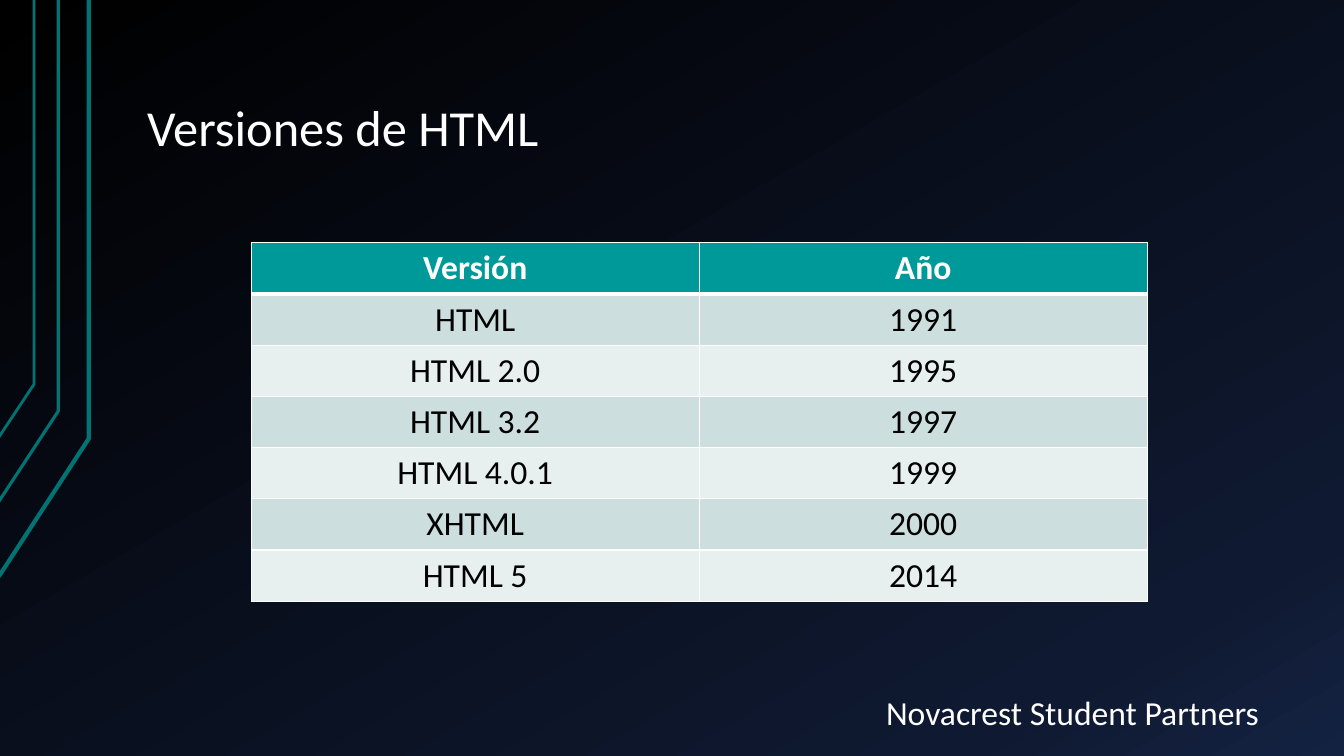
from copy import deepcopy

from lxml import etree
from pptx import Presentation
from pptx.dml.color import RGBColor
from pptx.enum.text import MSO_ANCHOR, PP_ALIGN
from pptx.oxml.ns import qn
from pptx.util import Cm, Pt

CENTER = PP_ALIGN.CENTER
MIDDLE, BOTTOM, TOP = MSO_ANCHOR.MIDDLE, MSO_ANCHOR.BOTTOM, MSO_ANCHOR.TOP
WHITE, BLACK, TEAL = "FFFFFF", "000000", "009999"


def color(value):
    return RGBColor.from_string(value)


def style(p, size, value, bold=False):
    font = p.runs[0].font
    font.name = "Calibri"
    font.size = Pt(size)
    font.bold = bold
    font.color.rgb = color(value)


prs = Presentation()
prs.slide_width, prs.slide_height = Cm(33.87), Cm(19.05)
s = prs.slides.add_slide(prs.slide_layouts[6])

bg = s.background.fill
bg.gradient()
bg.gradient_angle = 300
stops = s._element.find(".//" + qn("a:gsLst"))
stops.append(deepcopy(stops[-1]))
for stop, (position, value) in zip(bg.gradient_stops, [(0, BLACK), (0.85, "0F1931"), (1, "142242")]):
    stop.position = position
    stop.color.rgb = color(value)

bent_lines = [
    (-0.03, 14.53, 2.24, 11.05, 3),
    (-0.05, 12.67, 1.47, 10.36, 2.25),
    (-0.03, 11.02, 0.86, 9.68, 2),
]
for left, bottom, right, bend, width in bent_lines:
    outline = s.shapes.build_freeform(Cm(left), Cm(bottom))
    outline.add_line_segments([(Cm(right), Cm(bend)), (Cm(right), 0)], close=False)
    sp = outline.convert_to_shape()
    sp.shadow.inherit = False
    sp.fill.background()
    sp.line.color.rgb = color("007373")
    sp.line.width = Pt(width)

texts = [
    ("Novacrest Student Partners", 21.82, 17.15, 12.37, 1.75, 24, TOP, 0.51, 0.41, 6),
    ("Versiones de HTML", 3.38, 0.76, 28.78, 3.4, 36, BOTTOM, 0.33, 0.18, 0),
]
for text, x, y, w, h, size, anchor, inset_x, inset_y, after in texts:
    tf = s.shapes.add_textbox(Cm(x), Cm(y), Cm(w), Cm(h)).text_frame
    tf.word_wrap = True
    tf.vertical_anchor = anchor
    tf.margin_left = tf.margin_right = Cm(inset_x)
    tf.margin_top = tf.margin_bottom = Cm(inset_y)
    tf.text = text
    p = tf.paragraphs[0]
    p.line_spacing = 0.9
    p.space_after = Pt(after)
    style(p, size, WHITE)

versions = [
    ("Versión", "Año"),
    ("HTML", "1991"),
    ("HTML 2.0", "1995"),
    ("HTML 3.2", "1997"),
    ("HTML 4.0.1", "1999"),
    ("XHTML", "2000"),
    ("HTML 5", "2014"),
]
table = s.shapes.add_table(len(versions), 2, Cm(6.33), Cm(6.12), Cm(22.58), Cm(9.03)).table
for i, row in enumerate(versions):
    header = i == 0
    for j, text in enumerate(row):
        cell = table.cell(i, j)
        cell.text = text
        cell.vertical_anchor = MIDDLE
        p = cell.text_frame.paragraphs[0]
        p.alignment = CENTER
        style(p, 24, WHITE if header else BLACK, header)
        widths = {"L": 1, "R": 1, "T": 3 if i == 1 else 1, "B": 3 if header else 1}
        for side, width in widths.items():
            ln = etree.SubElement(cell._tc.get_or_add_tcPr(), qn("a:ln" + side), w=str(Pt(width)))
            fill = etree.SubElement(ln, qn("a:solidFill"))
            etree.SubElement(fill, qn("a:srgbClr"), val=WHITE)
        cell.fill.solid()
        cell.fill.fore_color.rgb = color(TEAL if header else "CCDEDE" if i % 2 else "E7EFEF")

prs.save("out.pptx")
